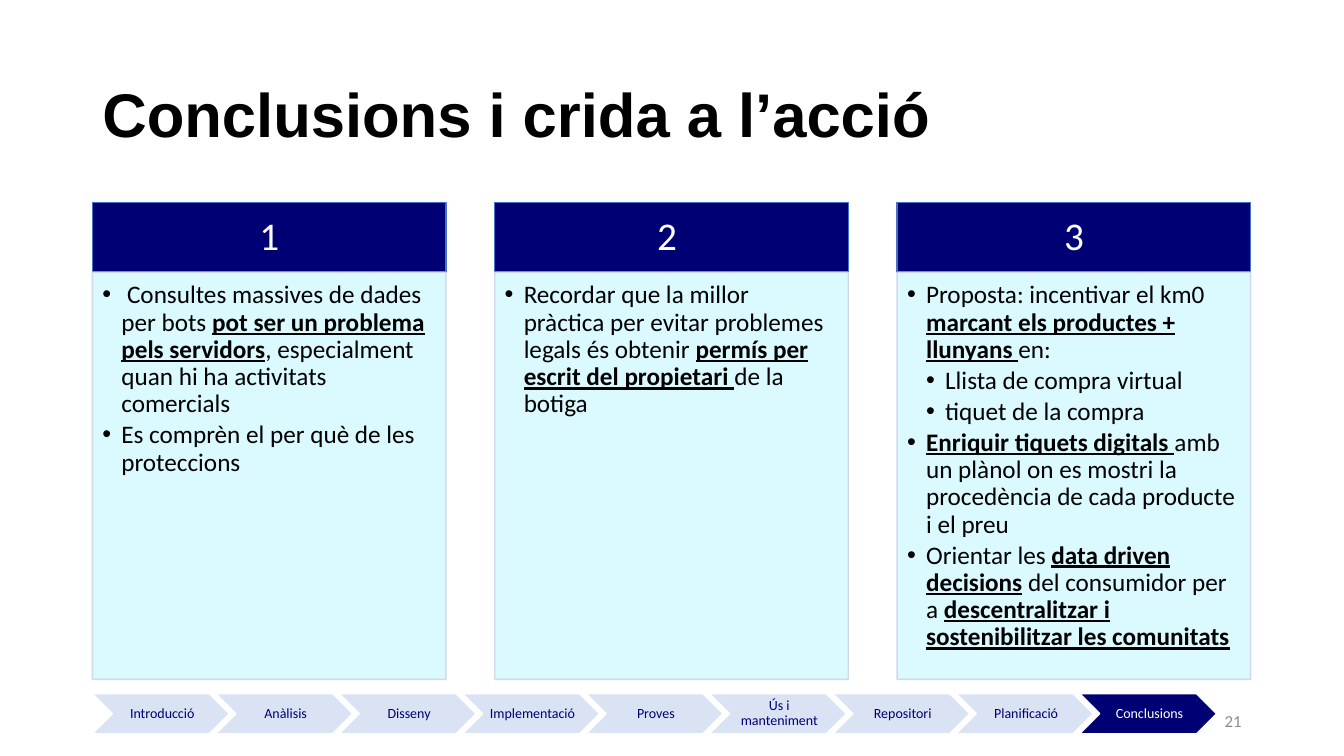
"""Build the closing slide: three conclusion columns above a chevron progress bar."""
from dataclasses import dataclass

from lxml import etree
from pptx import Presentation
from pptx import util as u
from pptx.dml.color import RGBColor
from pptx.enum import shapes, text
from pptx.oxml.ns import qn


@dataclass(frozen=True)
class Theme:
    """Colours, fonts and type sizes of the slide."""

    navy: str = "000075"
    header_line: str = "4472C4"
    panel: str = "D6FAFF"
    panel_line: str = "CFD5EA"
    step: str = "DAE3F3"
    white: str = "FFFFFF"
    black: str = "000000"
    grey: str = "8C8C8C"
    title_font: str = "Arial"
    body_font: str = "Calibri"
    title_size: int = 44
    header_size: int = 28
    body_size: int = 18
    number_size: int = 12
    step_size: int = 10


@dataclass(frozen=True)
class Box:
    """Position and size in centimetres."""

    left: float
    top: float
    width: float
    height: float

    def lengths(self) -> list:
        """Return the four values as lengths."""
        return [u.Cm(value) for value in (self.left, self.top, self.width, self.height)]


@dataclass(frozen=True)
class Run:
    """A stretch of text, emphasised or plain."""

    text: str
    strong: bool = False


@dataclass(frozen=True)
class Bullet:
    """A bulleted paragraph at a nesting level."""

    runs: tuple
    level: int = 1


@dataclass(frozen=True)
class Column:
    """A numbered column of conclusions."""

    header: str
    bullets: tuple


THEME = Theme()
INDENT = 0.48
COLUMN_LEFT, COLUMN_PITCH, COLUMN_WIDTH = 2.33, 10.14, 8.91
STEP_PITCH = 3.11
STEPS = ("Introducció", "Anàlisis", "Disseny", "Implementació", "Proves",
         "Ús i manteniment", "Repositori", "Planificació", "Conclusions")
CURRENT_STEP = "Conclusions"
COLUMNS = (
    Column("1", (
        Bullet((Run(" Consultes massives de dades per bots "),
                Run("pot ser un problema pels servidors", True),
                Run(", especialment quan hi ha activitats comercials"))),
        Bullet((Run("Es comprèn el per què de les proteccions"),)),
    )),
    Column("2 ", (
        Bullet((Run("Recordar que la millor pràctica per evitar problemes legals és obtenir "),
                Run("permís per escrit del propietari ", True),
                Run("de la botiga"))),
    )),
    Column("3", (
        Bullet((Run("Proposta: incentivar el km0 "),
                Run("marcant els productes + llunyans ", True),
                Run("en:"))),
        Bullet((Run("Llista de compra virtual"),), 2),
        Bullet((Run("tiquet de la compra"),), 2),
        Bullet((Run("Enriquir tiquets digitals ", True),
                Run("amb un plànol on es mostri la procedència de cada producte i el preu"))),
        Bullet((Run("Orientar les "),
                Run("data driven decisions", True),
                Run(" del consumidor per a "),
                Run("descentralitzar i sostenibilitzar les comunitats", True))),
    )),
)


def apply_format(target, values: dict) -> None:
    """Set each named attribute on the target."""
    for name, value in values.items():
        setattr(target, name, value)


def format_frame(frame, anchor, margins: tuple) -> None:
    """Set wrapping, anchor and margins (left, top, right, bottom) of a text frame."""
    left, top, right, bottom = (u.Cm(margin) for margin in margins)
    apply_format(frame, {
        "word_wrap": True, "vertical_anchor": anchor, "margin_left": left,
        "margin_top": top, "margin_right": right, "margin_bottom": bottom})


def add_run(paragraph, content: str, size: int, colour: str,
            font: str = THEME.body_font, bold: bool = False, underline: bool = False) -> None:
    """Append a formatted run to a paragraph."""
    run = paragraph.add_run()
    run.text = content
    apply_format(run.font, {
        "name": font, "size": u.Pt(size), "bold": bold, "underline": underline})
    run.font.color.rgb = RGBColor.from_string(colour)


def add_block(slide, kind, box: Box, fill: str, line: str):
    """Add a filled and outlined preset shape."""
    shape = slide.shapes.add_shape(kind, *box.lengths())
    shape.shadow.inherit = False
    shape.fill.solid()
    shape.fill.fore_color.rgb = RGBColor.from_string(fill)
    shape.line.color.rgb = RGBColor.from_string(line)
    shape.line.width = u.Pt(1)
    return shape


def add_label(shape, content: str, size: int, colour: str, margins: tuple) -> None:
    """Write a centred label inside a shape."""
    format_frame(shape.text_frame, text.MSO_ANCHOR.MIDDLE, margins)
    paragraph = shape.text_frame.paragraphs[0]
    apply_format(paragraph, {"alignment": text.PP_ALIGN.CENTER, "line_spacing": 0.9})
    add_run(paragraph, content, size, colour)


def add_text(slide, box: Box, content: str, size: int, colour: str, font: str,
             bold: bool, alignment) -> None:
    """Add a one-line text box, centred vertically."""
    frame = slide.shapes.add_textbox(*box.lengths()).text_frame
    format_frame(frame, text.MSO_ANCHOR.MIDDLE, (0.25, 0.13, 0.25, 0.13))
    paragraph = frame.paragraphs[0]
    paragraph.alignment = alignment
    add_run(paragraph, content, size, colour, font, bold)


def add_bullet(paragraph, bullet: Bullet) -> None:
    """Fill a paragraph with a bullet and its runs."""
    properties = paragraph._p.get_or_add_pPr()
    properties.set("marL", str(u.Cm(INDENT * bullet.level)))
    properties.set("indent", str(u.Cm(-INDENT)))
    etree.SubElement(properties, qn("a:buFont")).set("typeface", THEME.title_font)
    etree.SubElement(properties, qn("a:buChar")).set("char", "•")
    apply_format(paragraph, {
        "alignment": text.PP_ALIGN.LEFT, "line_spacing": 0.9, "space_after": u.Pt(2.7)})
    for run in bullet.runs:
        add_run(paragraph, run.text, THEME.body_size, THEME.black,
                bold=run.strong, underline=run.strong)


def add_column(slide, column: Column, left: float) -> None:
    """Add a header and its translucent panel of bullets."""
    rectangle = shapes.MSO_SHAPE.RECTANGLE
    header = add_block(slide, rectangle, Box(left, 5.1, COLUMN_WIDTH, 1.76),
                       THEME.navy, THEME.header_line)
    add_label(header, column.header, THEME.header_size, THEME.white, (0.56, 0.3, 0.56, 0.3))
    panel = add_block(slide, rectangle, Box(left, 6.86, COLUMN_WIDTH, 10.26),
                      THEME.panel, THEME.panel_line)
    for colour in panel._element.spPr.iter(qn("a:srgbClr")):
        etree.SubElement(colour, qn("a:alpha")).set("val", "90000")
    frame = panel.text_frame
    format_frame(frame, text.MSO_ANCHOR.TOP, (0.25, 0.25, 0.36, 0.41))
    for index, bullet in enumerate(column.bullets):
        add_bullet(frame.add_paragraph() if index else frame.paragraphs[0], bullet)


def add_step(slide, name: str, left: float) -> None:
    """Add a chevron of the progress bar, dark for the current step."""
    fill, colour = ((THEME.navy, THEME.white) if name == CURRENT_STEP
                    else (THEME.step, THEME.navy))
    chevron = add_block(slide, shapes.MSO_SHAPE.CHEVRON, Box(left, 17.48, 3.45, 1.01),
                        fill, THEME.white)
    add_label(chevron, name, THEME.step_size, colour, (0.1, 0.03, 0.03, 0.03))


def main() -> None:
    """Build and save the presentation."""
    presentation = Presentation()
    apply_format(presentation, {"slide_width": u.Cm(33.87), "slide_height": u.Cm(19.05)})
    slide = presentation.slides.add_slide(presentation.slide_layouts[6])
    add_text(slide, Box(COLUMN_LEFT, 1.01, 29.21, 3.68), "Conclusions i crida a l’acció",
             THEME.title_size, THEME.black, THEME.title_font, True, text.PP_ALIGN.LEFT)
    for index, column in enumerate(COLUMNS):
        add_column(slide, column, COLUMN_LEFT + index * COLUMN_PITCH)
    add_text(slide, Box(23.92, 17.66, 7.62, 1.01), "21",
             THEME.number_size, THEME.grey, THEME.body_font, False, text.PP_ALIGN.RIGHT)
    for index, name in enumerate(STEPS):
        add_step(slide, name, COLUMN_LEFT + index * STEP_PITCH)
    presentation.save("out.pptx")


if __name__ == "__main__":
    main()
